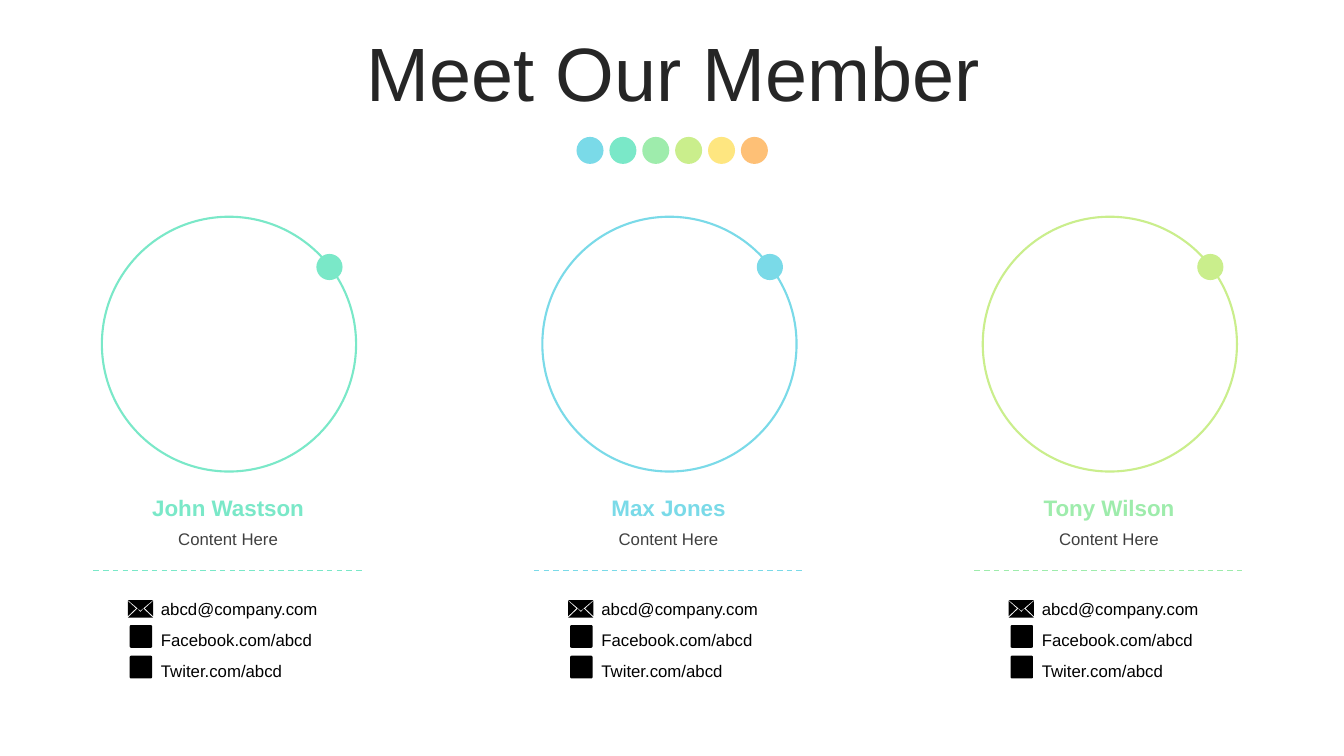
import pptx
import pptx.util
import pptx.dml.color
import pptx.enum.dml
import pptx.enum.shapes
import pptx.enum.text
import pptx.oxml.ns
import lxml.etree

Pt = pptx.util.Pt
Shape = pptx.enum.shapes.MSO_SHAPE
Align = pptx.enum.text.PP_ALIGN
AutoSize = pptx.enum.text.MSO_AUTO_SIZE

COLORS = {
    "blue": "7ADAE8", "mint": "7AE8C8", "green": "9EECAC", "lime": "CAEE8C",
    "yellow": "FEE680", "orange": "FEC076",
    "title": "262626", "role": "404040", "black": "000000",
}
FORMATS = {
    "title": {"size": Pt(54), "name": "Arial", "bold": False},
    "name": {"size": Pt(16), "name": "Arial", "bold": True},
    "body": {"size": Pt(12), "name": "Arial", "bold": False},
}
MEMBERS = [
    # name, ring color, text and divider color
    ("John Wastson", "mint", "mint"),
    ("Max Jones", "blue", "blue"),
    ("Tony Wilson", "lime", "green"),
]
CONTACTS = ["abcd@company.com", "Facebook.com/abcd", "Twiter.com/abcd"]
# Contours in tenths of a point
ENVELOPE = [
    [(112, 62), (180, 126), (0, 126), (68, 62), (90, 86)],
    [(180, 7), (180, 115), (122, 60)],
    [(0, 7), (58, 60), (0, 115)],
    [(0, 0), (180, 0), (90, 76)],
]


def rgb(color):
    return pptx.dml.color.RGBColor.from_string(COLORS[color])


def format_paragraph(paragraph, text, style, color, alignment):
    paragraph.text = text
    paragraph.alignment = alignment
    for attribute, value in FORMATS[style].items():
        setattr(paragraph.font, attribute, value)
    paragraph.font.color.rgb = rgb(color)


def add_text(slide, box, text, style, color, alignment=Align.LEFT):
    frame = slide.shapes.add_textbox(*map(Pt, box)).text_frame
    frame.word_wrap = True
    frame.auto_size = AutoSize.SHAPE_TO_FIT_TEXT
    format_paragraph(frame.paragraphs[0], text, style, color, alignment)


def fill_plain(shape, color):
    shape.shadow.inherit = False
    shape.fill.solid()
    shape.fill.fore_color.rgb = rgb(color)
    shape.line.fill.background()


def add_filled(slide, kind, box, color):
    shape = slide.shapes.add_shape(kind, *map(Pt, box))
    fill_plain(shape, color)
    return shape


def add_title(slide, box, text):
    title = slide.shapes.title
    title.left, title.top, title.width, title.height = map(Pt, box)
    frame = title.text_frame
    frame.auto_size = AutoSize.NONE
    frame.vertical_anchor = pptx.enum.text.MSO_ANCHOR.MIDDLE
    paragraph = frame.paragraphs[0]
    format_paragraph(paragraph, text, "title", "title", Align.CENTER)
    paragraph.line_spacing = 0.9


def add_color_dots(slide, box):
    """Spread one dot per palette color evenly across the box."""
    left, top, width, size = box
    colors = ["blue", "mint", "green", "lime", "yellow", "orange"]
    pitch = (width - size) / (len(colors) - 1)
    for index, color in enumerate(colors):
        dot = (left + index * pitch, top, size, size)
        add_filled(slide, Shape.OVAL, dot, color)


def add_portrait_ring(slide, box, color):
    left, top, width, height = box
    ring = slide.shapes.add_shape(Shape.OVAL, *map(Pt, box))
    ring.shadow.inherit = False
    ring.fill.background()
    ring.line.color.rgb = rgb(color)
    ring.line.width = Pt(1.5)
    dot = (left + 153.2, top + 26.6, 18.7, 18.7)
    add_filled(slide, Shape.OVAL, dot, color)


def add_divider(slide, left, top, width, color):
    divider = slide.shapes.add_connector(
        pptx.enum.shapes.MSO_CONNECTOR.STRAIGHT,
        Pt(left), Pt(top), Pt(left + width), Pt(top))
    divider.line.color.rgb = rgb(color)
    divider.line.width = Pt(1)
    divider.line.dash_style = pptx.enum.dml.MSO_LINE.DASH
    lxml.etree.SubElement(
        divider.element.spPr, pptx.oxml.ns.qn("a:effectLst"))


def add_envelope(slide, left, top):
    builder = slide.shapes.build_freeform(*ENVELOPE[0][0], scale=Pt(1) / 10)
    for index, contour in enumerate(ENVELOPE):
        if index:
            builder.move_to(*contour[0])
        builder.add_line_segments(contour[1:], close=True)
    fill_plain(builder.convert_to_shape(Pt(left), Pt(top)), "black")


def add_contacts(slide, box):
    left, top, width, height = box
    pitch = height / len(CONTACTS)
    add_envelope(slide, left, top + 4.3)
    for index, contact in enumerate(CONTACTS):
        row = top + index * pitch
        if index:
            icon = add_filled(
                slide, Shape.ROUNDED_RECTANGLE,
                (left + 1.4, row + 0.3, 16, 16.2), "black")
            icon.adjustments[0] = 0.06
        add_text(slide, (left + 16.6, row, width - 16.6, 21.6),
                 contact, "body", "black")


def add_member(slide, box, name, ring_color, text_color):
    left, top, width, height = box
    add_portrait_ring(slide, (left + 6, top, 181.6, 182), ring_color)
    label = left + 17.3
    add_text(slide, (label, top + 194.4, 157.7, 26.6),
             name, "name", text_color, Align.CENTER)
    add_text(slide, (label, top + 219.6, 157.7, 21.6),
             "Content Here", "body", "role", Align.CENTER)
    add_divider(slide, left, top + 252.7, width, text_color)
    add_contacts(slide, (left + 24.5, top + 269.5, 144, height - 269.5))


def add_members(slide, box):
    left, top, width, height = box
    column = 194
    pitch = (width - column) / (len(MEMBERS) - 1)
    for index, member in enumerate(MEMBERS):
        area = (left + index * pitch, top, column, height)
        add_member(slide, area, *member)


def main():
    presentation = pptx.Presentation()
    presentation.slide_width, presentation.slide_height = Pt(960), Pt(540)
    slide = presentation.slides.add_slide(presentation.slide_layouts[5])
    add_members(slide, (66.8, 154.8, 823.2, 335.2))
    add_title(slide, (25.2, 26.6, 911.5, 56.9), "Meet Our Member")
    add_color_dots(slide, (411.8, 97.8, 136.7, 19.3))
    presentation.save("out.pptx")


if __name__ == "__main__":
    main()
